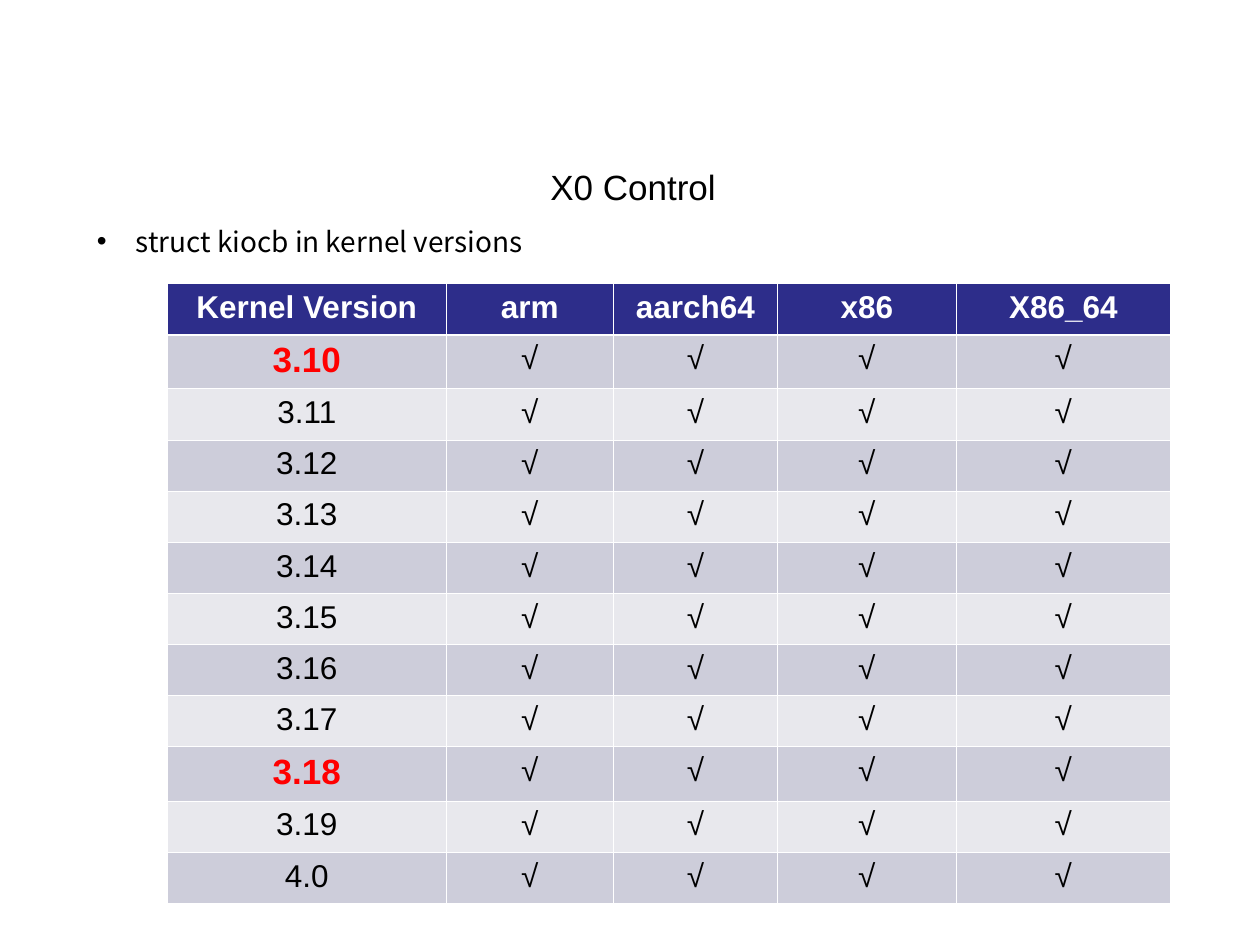
from lxml import etree
from pptx import Presentation
from pptx.dml.color import RGBColor
from pptx.enum.text import MSO_ANCHOR, PP_ALIGN
from pptx.oxml.ns import qn
from pptx.util import Inches, Pt

CENTER = PP_ALIGN.CENTER
MIDDLE = MSO_ANCHOR.MIDDLE
LATIN = "Arial"
CJK = "Noto Sans CJK SC"
BLACK, WHITE, RED = "000000", "FFFFFF", "FF0000"
NAVY, DARK, LIGHT = "2D2D8A", "CDCDDA", "E8E8ED"

HEADS = ["Kernel Version", "arm", "aarch64", "x86", "X86_64"]
KERNELS = [f"3.{minor}" for minor in range(10, 20)] + ["4.0"]
MARKED = {"3.10", "3.18"}
WIDTHS = [2.21, 1.33, 1.3, 1.42, 1.7]
TALL = 0.43


def color(code):
    """Turn a hex string into a colour."""
    return RGBColor.from_string(code)


def style(para, size, code=BLACK, bold=False, face=LATIN):
    """Format every run of a paragraph."""
    for run in para.runs:
        font = run.font
        font.name, font.size, font.bold = face, Pt(size), bold
        font.color.rgb = color(code)
        east = etree.SubElement(run._r.get_or_add_rPr(), qn("a:ea"))
        east.set("typeface", face)


def add_bullet(para):
    """Give a paragraph a black round bullet with a hanging indent."""
    props = para._p.get_or_add_pPr()
    props.set("marL", str(Inches(0.31)))
    props.set("indent", str(-Inches(0.31)))
    tint = etree.SubElement(props, qn("a:buClr"))
    etree.SubElement(tint, qn("a:srgbClr")).set("val", BLACK)
    etree.SubElement(props, qn("a:buFont")).set("typeface", LATIN)
    etree.SubElement(props, qn("a:buChar")).set("char", "•")


def add_edges(cell, top, bottom):
    """Draw white cell borders, with the top and bottom widths in points."""
    props = cell._tc.get_or_add_tcPr()
    for side, width in (("L", 0.45), ("R", 0.45), ("T", top), ("B", bottom)):
        line = etree.SubElement(props, qn(f"a:ln{side}"), w=str(Pt(width)))
        fill = etree.SubElement(line, qn("a:solidFill"))
        etree.SubElement(fill, qn("a:srgbClr")).set("val", WHITE)


def add_title(slide, left, top, width, height):
    """Place the slide title."""
    title = slide.shapes.title
    title.left, title.top = Inches(left), Inches(top)
    title.width, title.height = Inches(width), Inches(height)
    frame = title.text_frame
    frame.text = "X0 Control"
    frame.vertical_anchor = MIDDLE
    para = frame.paragraphs[0]
    para.alignment = CENTER
    style(para, 20)


def add_point(slide, left, top, width, height):
    """Place the bullet line above the table."""
    box = slide.shapes.add_textbox(
        Inches(left), Inches(top), Inches(width), Inches(height))
    frame = box.text_frame
    frame.word_wrap = True
    frame.text = "struct kiocb in kernel versions"
    para = frame.paragraphs[0]
    add_bullet(para)
    style(para, 16, face=CJK)


def fill_cell(cell, row, text):
    """Write and format one table cell."""
    cell.text = text
    para = cell.text_frame.paragraphs[0]
    para.alignment = CENTER
    if row == 0:
        style(para, 18, WHITE, True)
    elif text in MARKED:
        style(para, 20, RED, True)
    else:
        style(para, 18)
    add_edges(cell, 1.47 if row == 1 else 0.45, 1.47 if row == 0 else 0.45)
    cell.fill.solid()
    shade = DARK if row % 2 else LIGHT
    cell.fill.fore_color.rgb = color(shade if row else NAVY)


def add_grid(slide, left, top, width, height):
    """Place the table of kernel versions and platforms."""
    rows = [HEADS] + [[name] + ["√"] * 4 for name in KERNELS]
    table = slide.shapes.add_table(
        len(rows), len(HEADS), Inches(left), Inches(top),
        Inches(width), Inches(height)).table
    for col, size in zip(table.columns, WIDTHS):
        col.width = Inches(size)
    plain = (height - TALL * len(MARKED)) / (len(rows) - len(MARKED))
    for row, texts in enumerate(rows):
        table.rows[row].height = Inches(TALL if texts[0] in MARKED else plain)
        for col, text in enumerate(texts):
            fill_cell(table.cell(row, col), row, text)


def main():
    """Build the slide and save it."""
    deck = Presentation()
    deck.slide_width, deck.slide_height = Inches(10), Inches(7.5)
    slide = deck.slides.add_slide(deck.slide_layouts[5])
    add_grid(slide, 1.33, 2.25, 7.95, 4.92)
    add_point(slide, 0.67, 1.73, 4.75, 0.42)
    add_title(slide, 1.15, 1.23, 7.75, 0.5)
    deck.save("out.pptx")


if __name__ == "__main__":
    main()
